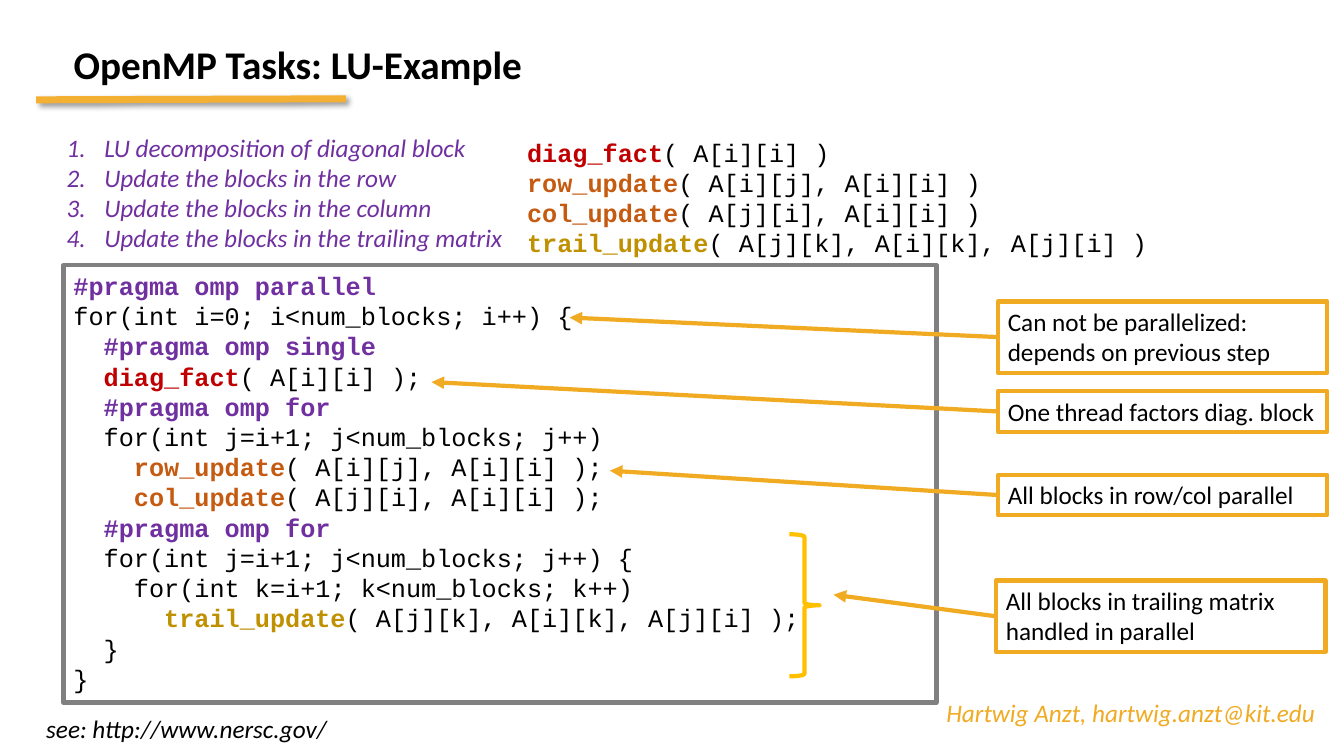
import pptx
import pptx.dml.color
import pptx.enum.shapes
import pptx.enum.text
import pptx.oxml
import pptx.oxml.ns
import pptx.util
from lxml import etree

Pt = pptx.util.Pt
qn = pptx.oxml.ns.qn
GOLD, BLACK, PURPLE = "F0AB23", "000000", "7030A0"
KEYWORDS = {
    "#pragma omp parallel": PURPLE,
    "#pragma omp single": PURPLE,
    "#pragma omp for": PURPLE,
    "diag_fact": "C00000",
    "row_update": "C55A11",
    "col_update": "C55A11",
    "trail_update": "BF9000",
}
CALLS = """diag_fact( A[i][i] )
row_update( A[i][j], A[i][i] )
col_update( A[j][i], A[i][i] )
trail_update( A[j][k], A[i][k], A[j][i] )"""
PROGRAM = """#pragma omp parallel
for(int i=0; i<num_blocks; i++) {
  #pragma omp single
  diag_fact( A[i][i] );
  #pragma omp for
  for(int j=i+1; j<num_blocks; j++)
    row_update( A[i][j], A[i][i] );
    col_update( A[j][i], A[i][i] );
  #pragma omp for
  for(int j=i+1; j<num_blocks; j++) {
    for(int k=i+1; k<num_blocks; k++)
      trail_update( A[j][k], A[i][k], A[j][i] );
  }
}"""
STEPS = [
    "LU decomposition of diagonal block",
    "Update the blocks in the row",
    "Update the blocks in the column",
    "Update the blocks in the trailing matrix",
]
CALLOUTS = [
    ("Can not be parallelized: depends on previous step", 712.8, 215.3, 51, 406.8, 226.8),
    ("One thread factors diag. block", 712.8, 279.4, 29, 308.2, 272.9),
    ("All blocks in row/col parallel", 712.8, 339.1, 29, 435.6, 336.2),
    ("All blocks in trailing matrix handled in parallel", 711.4, 414.7, 51, 595.4, 424.8),
]


def rgb(value):
    return pptx.dml.color.RGBColor.from_string(value)


def style(para, name, size, color, bold=False, italic=False):
    para.font.name = name
    para.font.size = Pt(size)
    para.font.color.rgb = rgb(color)
    para.font.bold = bold
    para.font.italic = italic


deck = pptx.Presentation()
deck.slide_width, deck.slide_height = Pt(960), Pt(540)
page = deck.slides.add_slide(deck.slide_layouts[1])
shapes = page.shapes

title = shapes.title
title.left, title.top, title.width, title.height = Pt(45.4), Pt(-6.5), Pt(794), Pt(108)
title.text_frame.text = "OpenMP Tasks: LU-Example"
title.text_frame.auto_size = pptx.enum.text.MSO_AUTO_SIZE.NONE
title.text_frame.vertical_anchor = pptx.enum.text.MSO_ANCHOR.MIDDLE
heading = title.text_frame.paragraphs[0]
heading.alignment = pptx.enum.text.PP_ALIGN.LEFT
heading.line_spacing = 0.9
style(heading, "Calibri", 28, BLACK, bold=True)

body = page.placeholders[1]
body.left, body.top, body.width, body.height = Pt(40.3), Pt(90.7), Pt(340), Pt(95)
body.text_frame.text = "\n".join(STEPS)
body.text_frame.auto_size = pptx.enum.text.MSO_AUTO_SIZE.NONE
for para in body.text_frame.paragraphs:
    properties = para._p.get_or_add_pPr()
    properties.set("marL", str(Pt(27)))
    properties.set("indent", str(Pt(-27)))
    etree.SubElement(properties, qn("a:buFont"), typeface="+mj-lt")
    etree.SubElement(properties, qn("a:buAutoNum"), type="arabicPeriod")
    para.space_before = Pt(0)
    style(para, "Calibri", 18, PURPLE, italic=True)

underline = shapes.add_connector(
    pptx.enum.shapes.MSO_CONNECTOR.STRAIGHT, Pt(25.9), Pt(71.3), Pt(247), Pt(70.6))
underline.line.color.rgb = rgb("F3B033")
underline.line.width = Pt(5)
effects = etree.SubElement(underline._element.spPr, qn("a:effectLst"))
shadow = etree.SubElement(effects, qn("a:outerShdw"), blurRad=str(Pt(4)),
                          dist=str(Pt(3)), dir="2700000", algn="tl", rotWithShape="0")
shade = etree.SubElement(shadow, qn("a:srgbClr"), val=BLACK)
etree.SubElement(shade, qn("a:alpha"), val="40000")

for text, left, top, width, color in [
    ("Hartwig Anzt, hartwig.anzt@kit.edu", 668.9, 494.6, 278.6, GOLD),
    ("see: http://www.nersc.gov/", 25.9, 506.2, 217.4, BLACK),
]:
    box = shapes.add_textbox(Pt(left), Pt(top), Pt(width), Pt(29))
    box.text_frame.text = text
    box.text_frame.word_wrap = False
    style(box.text_frame.paragraphs[0], "Calibri", 18, color, italic=True)

for text, left, top, width, height, border in [
    (PROGRAM, 45.4, 189.4, 623.5, 312.5, "808080"),
    (CALLS, 369.4, 94.3, 470.2, 94.3, None),
]:
    box = shapes.add_textbox(Pt(left), Pt(top), Pt(width), Pt(height))
    box.text_frame.text = text
    box.text_frame.word_wrap = True
    if border:
        box.line.color.rgb = rgb(border)
        box.line.width = Pt(3)
    for para in box.text_frame.paragraphs:
        style(para, "Courier New", 18, BLACK)
        line = para.text
        for keyword, color in KEYWORDS.items():
            if keyword in line:
                before, _, after = line.partition(keyword)
                para.clear()
                for part in filter(None, (before, keyword, after)):
                    span = para.add_run()
                    span.text = part
                    if part == keyword:
                        span.font.bold = True
                        span.font.color.rgb = rgb(color)

for text, left, top, height, tip_x, tip_y in CALLOUTS:
    box = shapes.add_textbox(Pt(left), Pt(top), Pt(235.4), Pt(height))
    box.line.color.rgb = rgb(GOLD)
    box.line.width = Pt(3)
    box.text_frame.text = text
    box.text_frame.word_wrap = True
    style(box.text_frame.paragraphs[0], "Calibri", 18, BLACK)
    arrow = shapes.add_connector(
        pptx.enum.shapes.MSO_CONNECTOR.STRAIGHT,
        Pt(left), Pt(top + height / 2), Pt(tip_x), Pt(tip_y))
    arrow.begin_connect(box, 1)
    arrow.line.color.rgb = rgb(GOLD)
    arrow.line.width = Pt(3)
    etree.SubElement(arrow.line._get_or_add_ln(), qn("a:tailEnd"), type="triangle")
    etree.SubElement(arrow._element.spPr, qn("a:effectLst"))

brace = shapes.add_shape(
    pptx.enum.shapes.MSO_SHAPE.RIGHT_BRACE, Pt(563.8), Pt(381.6), Pt(21.6), Pt(101.5))
brace.shadow.inherit = False
brace.fill.background()
brace.line.color.rgb = rgb("FFC000")
brace.line.width = Pt(3)

deck.save("out.pptx")
